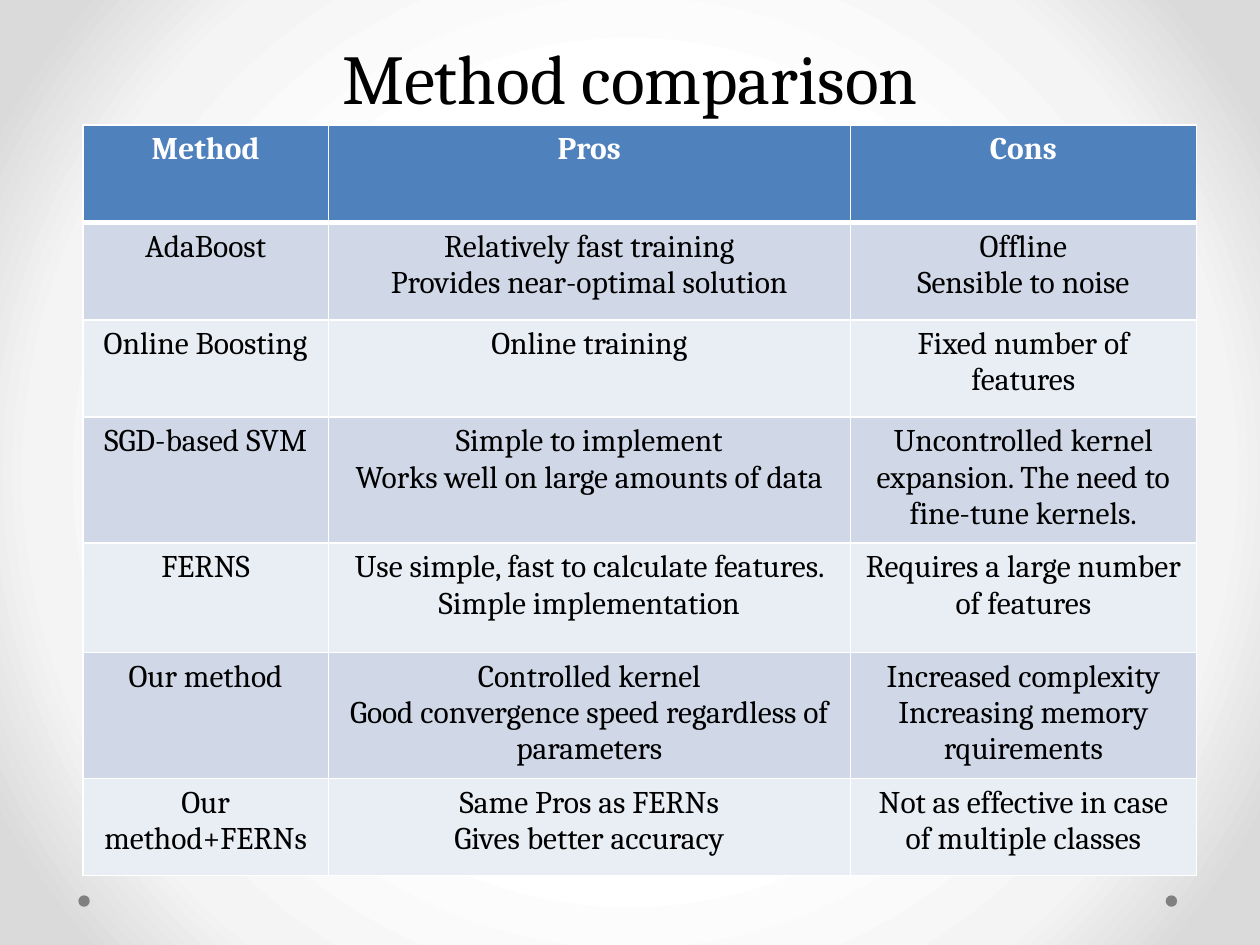
from pptx import Presentation, util as u
from pptx.dml.color import RGBColor
from pptx.enum import shapes, text
from pptx.oxml import parse_xml
from pptx.oxml.ns import nsdecls, qn

FONT = "Cambria"
HEADER_FILL, BAND_FILLS = "4F81BD", ("D0D8E8", "E9EDF4")
COLUMN_WIDTHS = (4.95, 10.52, 6.98)
ROW_HEIGHTS = (1.97, 1.96, 1.96, 1.96, 2.2, 1.96, 1.96)
# A line break inside a cell starts a new paragraph
ROWS = (
    ("Method", "Pros", "Cons"),
    ("AdaBoost", "Relatively fast training\nProvides near-optimal solution",
     "Offline\nSensible to noise"),
    ("Online Boosting", "Online training", "Fixed number of features"),
    ("SGD-based SVM", "Simple to implement\nWorks well on large amounts of data",
     "Uncontrolled kernel expansion. The need to fine-tune kernels."),
    ("FERNS", "Use simple, fast to calculate features. Simple implementation",
     "Requires a large number of features"),
    ("Our method", "Controlled kernel\nGood convergence speed regardless of parameters",
     "Increased complexity\nIncreasing memory rquirements"),
    ("Our method+FERNs", "Same Pros as FERNs\nGives better accuracy",
     "Not as effective in case of multiple classes"),
)


def color(hex_string):
    return RGBColor.from_string(hex_string)


def write_text(frame, content, size=18, fill="000000", bold=False, spacing=None):
    frame.word_wrap = True
    for index, line in enumerate(content.split("\n")):
        paragraph = frame.add_paragraph() if index else frame.paragraphs[0]
        paragraph.alignment = text.PP_ALIGN.CENTER
        if spacing:
            paragraph.line_spacing = u.Pt(spacing)
        run = paragraph.add_run()
        run.text = line
        run.font.name, run.font.size, run.font.bold = FONT, u.Pt(size), bold
        run.font.color.rgb = color(fill)


def set_background(slide):
    stops = "".join(
        f'<a:gs pos="{position * 1000}"><a:srgbClr val="{shade}"/></a:gs>'
        for position, shade in ((50, "FFFFFF"), (76, "F4F4F4"), (92, "DADADA")))
    background = parse_xml(
        f'<p:bg {nsdecls("p", "a")}><p:bgPr><a:gradFill rotWithShape="1">'
        f'<a:gsLst>{stops}</a:gsLst><a:path path="circle">'
        '<a:fillToRect l="50000" t="50000" r="50000" b="50000"/></a:path>'
        '</a:gradFill><a:effectLst/></p:bgPr></p:bg>')
    slide.element.find(qn("p:cSld")).insert(0, background)


def add_corner_dots(slide, left, top, width, size):
    for x in (left, left + width - size):
        dot = slide.shapes.add_shape(
            shapes.MSO_SHAPE.OVAL, u.Cm(x), u.Cm(top), u.Cm(size), u.Cm(size))
        dot.shadow.inherit = False
        dot.fill.solid()
        dot.fill.fore_color.rgb = color("808080")
        dot.line.fill.background()


def add_title(slide, left, top, width, height):
    box = slide.shapes.add_textbox(u.Cm(left), u.Cm(top), u.Cm(width), u.Cm(height))
    box.text_frame.vertical_anchor = text.MSO_ANCHOR.BOTTOM
    write_text(box.text_frame, "Method comparison", size=40, spacing=58)


def set_borders(cell, above, below):
    properties = cell._tc.get_or_add_tcPr()
    widths = {"lnL": 1, "lnR": 1, "lnT": above, "lnB": below}
    for index, (side, width) in enumerate(widths.items()):
        properties.insert(index, parse_xml(
            f'<a:{side} {nsdecls("a")} w="{u.Pt(width)}"><a:solidFill>'
            f'<a:srgbClr val="FFFFFF"/></a:solidFill></a:{side}>'))


def add_comparison_table(slide, left, top):
    table = slide.shapes.add_table(
        len(ROWS), len(COLUMN_WIDTHS), u.Cm(left), u.Cm(top),
        u.Cm(sum(COLUMN_WIDTHS)), u.Cm(sum(ROW_HEIGHTS))).table
    for column, width in zip(table.columns, COLUMN_WIDTHS):
        column.width = u.Cm(width)
    for index, (row, height, entries) in enumerate(zip(table.rows, ROW_HEIGHTS, ROWS)):
        row.height = u.Cm(height)
        header = index == 0
        for cell, entry in zip(row.cells, entries):
            cell.fill.solid()
            cell.fill.fore_color.rgb = color(
                HEADER_FILL if header else BAND_FILLS[(index - 1) % 2])
            set_borders(cell, above=3 if index == 1 else 1, below=3 if header else 1)
            write_text(cell.text_frame, entry, bold=header,
                       fill="FFFFFF" if header else "000000")


def main():
    presentation = Presentation()
    presentation.slide_width, presentation.slide_height = u.Cm(25.4), u.Cm(19.05)
    slide = presentation.slides.add_slide(presentation.slide_layouts[6])
    set_background(slide)
    add_corner_dots(slide, left=1.58, top=18.05, width=22.15, size=0.23)
    add_title(slide, left=1.27, top=0.58, width=22.86, height=1.93)
    add_comparison_table(slide, left=1.67, top=2.52)
    presentation.save("out.pptx")


if __name__ == "__main__":
    main()
